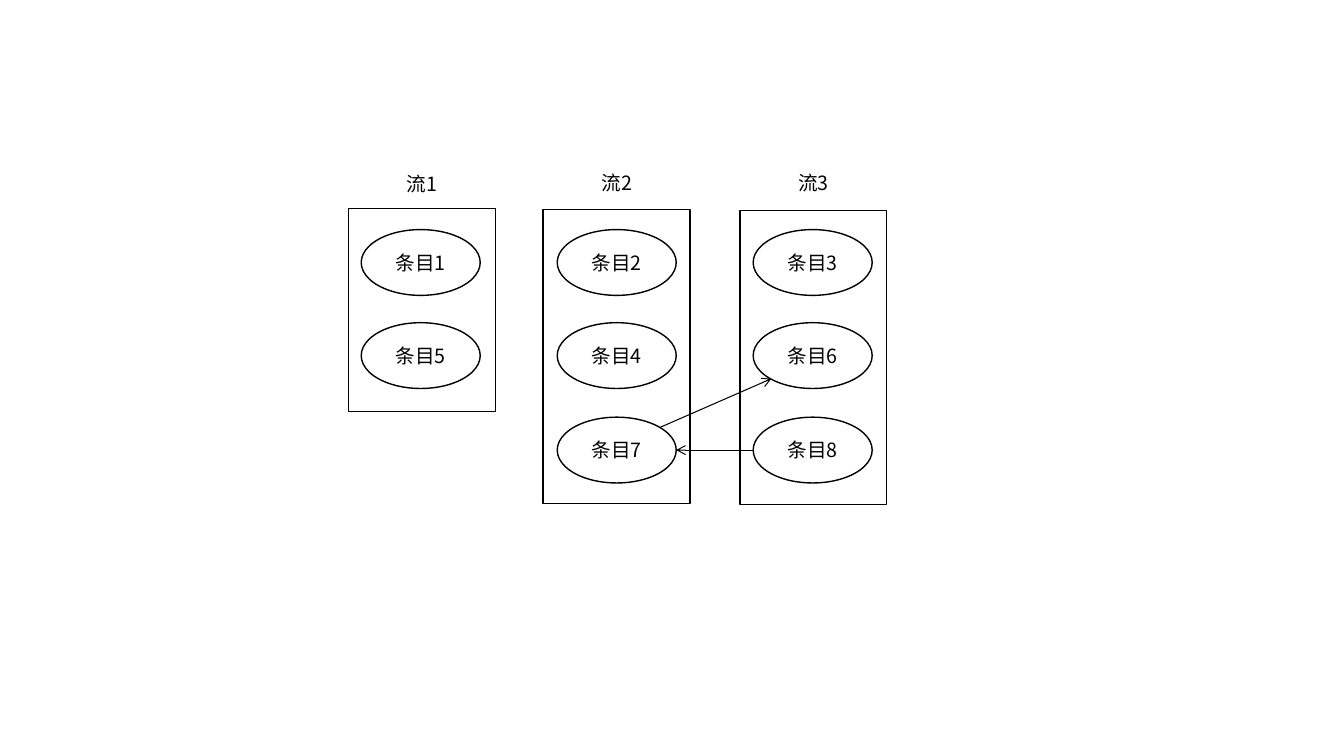
from lxml import etree
from pptx import Presentation
from pptx.dml.color import RGBColor
from pptx.enum.shapes import MSO_CONNECTOR, MSO_SHAPE
from pptx.enum.text import MSO_ANCHOR, PP_ALIGN
from pptx.oxml.ns import qn
from pptx.util import Pt

ELLIPSE, RECTANGLE = MSO_SHAPE.OVAL, MSO_SHAPE.RECTANGLE
STRAIGHT = MSO_CONNECTOR.STRAIGHT
CENTER, MIDDLE = PP_ALIGN.CENTER, MSO_ANCHOR.MIDDLE
BLACK = "000000"
FONT = "Noto Sans CJK SC"
TEXT_FORMAT = {"name": FONT, "size": Pt(14)}
FRAME_FORMAT = {"word_wrap": False, "vertical_anchor": MIDDLE,
                "margin_left": 0, "margin_right": 0}

ENTRY_LEFT, ENTRY_STEP = 258, 140
ENTRY_WIDTH, ENTRY_HEIGHT = 85, 47
ROW_TOPS = [164, 230.5, 298]
STREAM_WIDTH = 105
LABEL_WIDTH, LABEL_HEIGHT = 42.5, 24.5

STREAMS = [
    ("流1", ["条目1", "条目5"], 249, 149, 145, 119),
    ("流2", ["条目2", "条目4", "条目7"], 388, 149.5, 210, 118.5),
    ("流3", ["条目3", "条目6", "条目8"], 528.5, 150.5, 210, 118.5),
]
ARROWS = [(471, 305.5, 551, 270.5), (538, 321.5, 483, 321.5)]


def color(value):
    return RGBColor.from_string(value)


def write(shape, text):
    for name, value in FRAME_FORMAT.items():
        setattr(shape.text_frame, name, value)
    paragraph = shape.text_frame.paragraphs[0]
    paragraph.alignment = CENTER
    run = paragraph.add_run()
    run.text = text
    for name, value in TEXT_FORMAT.items():
        setattr(run.font, name, value)
    run.font.color.rgb = color(BLACK)
    east_asian = etree.SubElement(run.font._element, qn("a:ea"))
    east_asian.set("typeface", FONT)


presentation = Presentation()
presentation.slide_width, presentation.slide_height = Pt(960), Pt(540)
slide = presentation.slides.add_slide(presentation.slide_layouts[6])
shapes = slide.shapes

for column, (title, entries, left, top, height, label_top) in enumerate(STREAMS):
    entry_left = ENTRY_LEFT + column * ENTRY_STEP
    outlines = [(ELLIPSE, entry, entry_left, row_top, ENTRY_WIDTH, ENTRY_HEIGHT)
                for entry, row_top in zip(entries, ROW_TOPS)]
    outlines.append((RECTANGLE, "", left, top, STREAM_WIDTH, height))
    for kind, text, *box in outlines:
        shape = shapes.add_shape(kind, *map(Pt, box))
        shape.shadow.inherit = False
        shape.fill.background()
        shape.line.color.rgb = color(BLACK)
        shape.line.width = Pt(1)
        if text:
            write(shape, text)

    label_left = left + (STREAM_WIDTH - LABEL_WIDTH) / 2
    label = shapes.add_textbox(Pt(label_left), Pt(label_top),
                               Pt(LABEL_WIDTH), Pt(LABEL_HEIGHT))
    write(label, title)

for points in ARROWS:
    arrow = shapes.add_connector(STRAIGHT, *map(Pt, points))
    arrow.line.color.rgb = color(BLACK)
    arrow.line.width = Pt(0.75)
    properties = arrow._element.spPr
    tail = etree.SubElement(properties.find(qn("a:ln")), qn("a:tailEnd"))
    tail.set("type", "arrow")
    etree.SubElement(properties, qn("a:effectLst"))

presentation.save("out.pptx")
